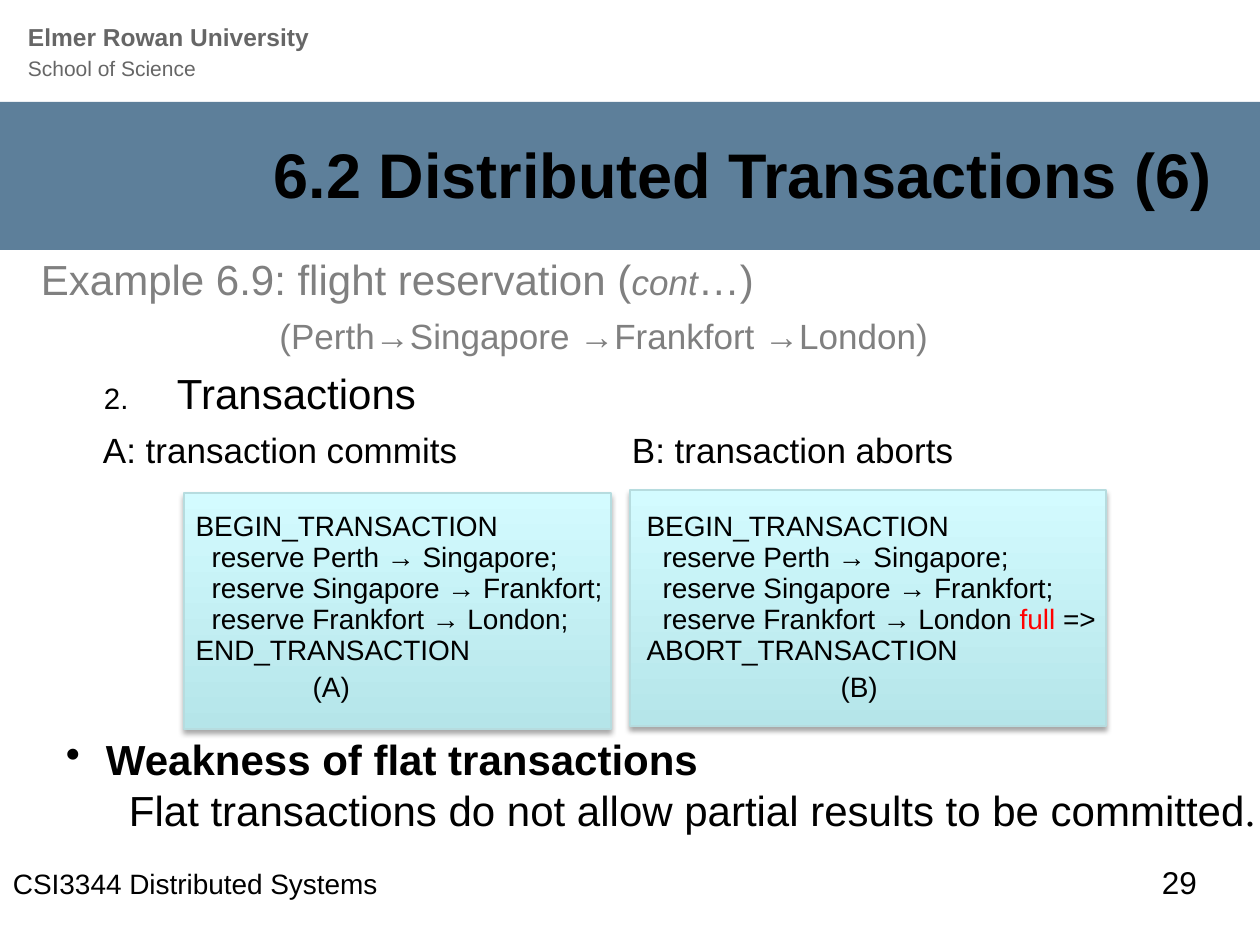
from dataclasses import dataclass

from lxml import etree
from pptx import Presentation
from pptx.dml.color import RGBColor
from pptx.enum.shapes import MSO_SHAPE
from pptx.enum.text import MSO_ANCHOR, PP_ALIGN
from pptx.oxml.ns import qn
from pptx.util import Emu, Pt

RECT = MSO_SHAPE.RECTANGLE
MIDDLE = MSO_ANCHOR.MIDDLE
LEFT, CENTER, RIGHT = PP_ALIGN.LEFT, PP_ALIGN.CENTER, PP_ALIGN.RIGHT


@dataclass(frozen=True)
class Theme:
    font: str = "Arial"
    serif: str = "Times New Roman"
    black: str = "000000"
    gray: str = "808080"
    header: str = "666666"
    band: str = "5D7F9A"
    red: str = "FF0000"
    panel_bottom: str = "B5E5E9"
    panel_top: str = "D3FBFF"
    panel_line: str = "B6DCDF"
    title: int = 36
    large: int = 24
    medium: int = 20
    page: int = 18
    code: int = 16
    school: int = 14
    small: int = 12


THEME = Theme()
INSET_X, INSET_Y = 13, 6
TEXT_LEFT = 103
CODE_INDENT = 16

UNIVERSITY = "Elmer Rowan University"
SCHOOL = "School of Science"
TITLE = "6.2 Distributed Transactions (6)"
EXAMPLE = [("Example 6.9: flight reservation (", {}),
           ("cont", {"size": THEME.medium, "italic": True}),
           ("…)", {})]
ROUTE = "(Perth→Singapore →Frankfort →London)"
SECTION = "Transactions"
WEAKNESS = "Weakness of flat transactions"
EXPLANATION = [("Flat transactions do not allow partial results to be committed", {}),
               (".", {"font": THEME.serif})]
COURSE = "CSI3344 Distributed Systems"
PAGE = "29"

SHARED_LEGS = ["reserve Perth → Singapore;", "reserve Singapore → Frankfort;"]
TRANSACTIONS = [
    {"heading": "A: transaction commits", "heading_left": TEXT_LEFT,
     "panel": (184, 493, 427, 236), "column": 451,
     "last_leg": "reserve Frankfort → London;",
     "end": "END_TRANSACTION", "label": "(A)", "label_indent": 117},
    {"heading": "B: transaction aborts", "heading_left": 632,
     "panel": (630, 490, 476, 236), "column": 561,
     "last_leg": [("reserve Frankfort → London ", {}),
                  ("full ", {"color": THEME.red}), ("=>", {})],
     "end": "ABORT_TRANSACTION", "label": "(B)", "label_indent": 194},
]


def px(value):
    return Emu(round(value * 914400 / 126))


def rgb(value):
    return RGBColor.from_string(value)


def style(font, size=None, color=None, bold=None, italic=None, name=None):
    if size:
        font.size = Pt(size)
    if color:
        font.color.rgb = rgb(color)
    if name:
        font.name = name
    font.bold, font.italic = bold, italic


def write(frame, content, size, color=THEME.black, bold=False, align=LEFT,
          before=0, spacing=None, margin=0, indent=0):
    first = frame.paragraphs[0]
    paragraph = first if not first.runs else frame.add_paragraph()
    style(paragraph.font, size, color, bold, name=THEME.font)
    paragraph.alignment = align
    paragraph.space_before = Pt(before)
    if spacing:
        paragraph.line_spacing = spacing
    properties = paragraph._p.get_or_add_pPr()
    properties.set("marL", str(px(margin)))
    properties.set("indent", str(px(indent)))
    for text, changes in [(content, {})] if isinstance(content, str) else content:
        run = paragraph.add_run()
        run.text = text
        style(run.font, changes.get("size", size), changes.get("color", color),
              bold, changes.get("italic"), changes.get("font", THEME.font))
    return paragraph


def add_bullet(paragraph, tag, **attributes):
    etree.SubElement(paragraph._p.pPr, qn(tag), attributes)


def add_text(slide, left, top, width, height, anchor=None, inset=(INSET_X, INSET_Y)):
    frame = slide.shapes.add_textbox(px(left), px(top), px(width), px(height)).text_frame
    frame.word_wrap = True
    frame.margin_left = frame.margin_right = px(inset[0])
    frame.margin_top = frame.margin_bottom = px(inset[1])
    if anchor is not None:
        frame.vertical_anchor = anchor
    return frame


def add_band(slide):
    band = slide.shapes.add_shape(RECT, px(0), px(102), px(1265), px(148))
    band.shadow.inherit = False
    band.fill.solid()
    band.fill.fore_color.rgb = rgb(THEME.band)
    band.line.fill.background()


def add_panel(slide, bounds):
    panel = slide.shapes.add_shape(RECT, *map(px, bounds))
    panel.shadow.inherit = False
    panel.fill.gradient()
    panel.fill.gradient_angle = 90
    for stop, color in zip(panel.fill.gradient_stops, (THEME.panel_bottom, THEME.panel_top)):
        stop.color.rgb = rgb(color)
    panel.line.color.rgb = rgb(THEME.panel_line)
    panel.line.width = Pt(0.75)
    effects = panel._element.spPr.find(qn("a:effectLst"))
    shadow = etree.SubElement(effects, qn("a:outerShdw"), blurRad=str(Pt(3.1)),
                              dist=str(Pt(1.8)), dir="5400000", rotWithShape="0")
    shade = etree.SubElement(shadow, qn("a:srgbClr"), val=THEME.black)
    etree.SubElement(shade, qn("a:alpha"), val="35000")


def add_code_table(slide):
    width = sum(item["column"] for item in TRANSACTIONS)
    table = slide.shapes.add_table(1, len(TRANSACTIONS), px(183), px(505),
                                   px(width), px(220)).table
    table.first_row = table.horz_banding = False
    for column, cell, item in zip(table.columns, table.rows[0].cells, TRANSACTIONS):
        column.width = px(item["column"])
        cell.fill.background()
        for position, side in enumerate(("a:lnL", "a:lnR", "a:lnT", "a:lnB")):
            border = etree.Element(qn(side))
            etree.SubElement(border, qn("a:noFill"))
            cell._tc.tcPr.insert(position, border)
        frame = cell.text_frame
        write(frame, "BEGIN_TRANSACTION", THEME.code)
        for leg in SHARED_LEGS + [item["last_leg"]]:
            write(frame, leg, THEME.code, margin=CODE_INDENT)
        write(frame, item["end"], THEME.code)
        write(frame, item["label"], THEME.code, before=3, margin=item["label_indent"])


def main():
    deck = Presentation()
    deck.slide_width, deck.slide_height = px(1260), px(945)
    slide = deck.slides.add_slide(deck.slide_layouts[6])

    add_band(slide)
    header = add_text(slide, 15, 16, 742, 73)
    write(header, UNIVERSITY, THEME.school, THEME.header, True, spacing=Pt(16.8))
    write(header, SCHOOL, THEME.small, THEME.header, spacing=Pt(16.8))
    write(add_text(slide, 34, 105, 1191, 137, MIDDLE), TITLE, THEME.title,
          bold=True, align=RIGHT)

    body = add_text(slide, 28, 257, 1152, 165)
    write(body, EXAMPLE, THEME.large, THEME.gray, spacing=0.8)
    write(body, ROUTE, THEME.medium, THEME.gray, align=CENTER, before=11, spacing=0.8)
    section = write(body, SECTION, THEME.large, before=12, spacing=0.8,
                    margin=136, indent=-73)
    add_bullet(section, "a:buSzPct", val="70000")
    add_bullet(section, "a:buAutoNum", type="arabicPeriod", startAt="2")

    for item in TRANSACTIONS:
        heading = add_text(slide, item["heading_left"], 428, 480, 42, inset=(0, 0))
        write(heading, item["heading"], THEME.medium)
        add_panel(slide, item["panel"])
    add_code_table(slide)

    weakness = add_text(slide, 53, 728, 1227, 115)
    point = write(weakness, WEAKNESS, THEME.large, bold=True, margin=40, indent=-40)
    add_bullet(point, "a:buChar", char="•")
    write(weakness, EXPLANATION, THEME.large, margin=63)

    write(add_text(slide, 0, 861, 551, 39), COURSE, THEME.code)
    write(add_text(slide, 1149, 857, 113, 63), PAGE, THEME.page)
    deck.save("out.pptx")


if __name__ == "__main__":
    main()
